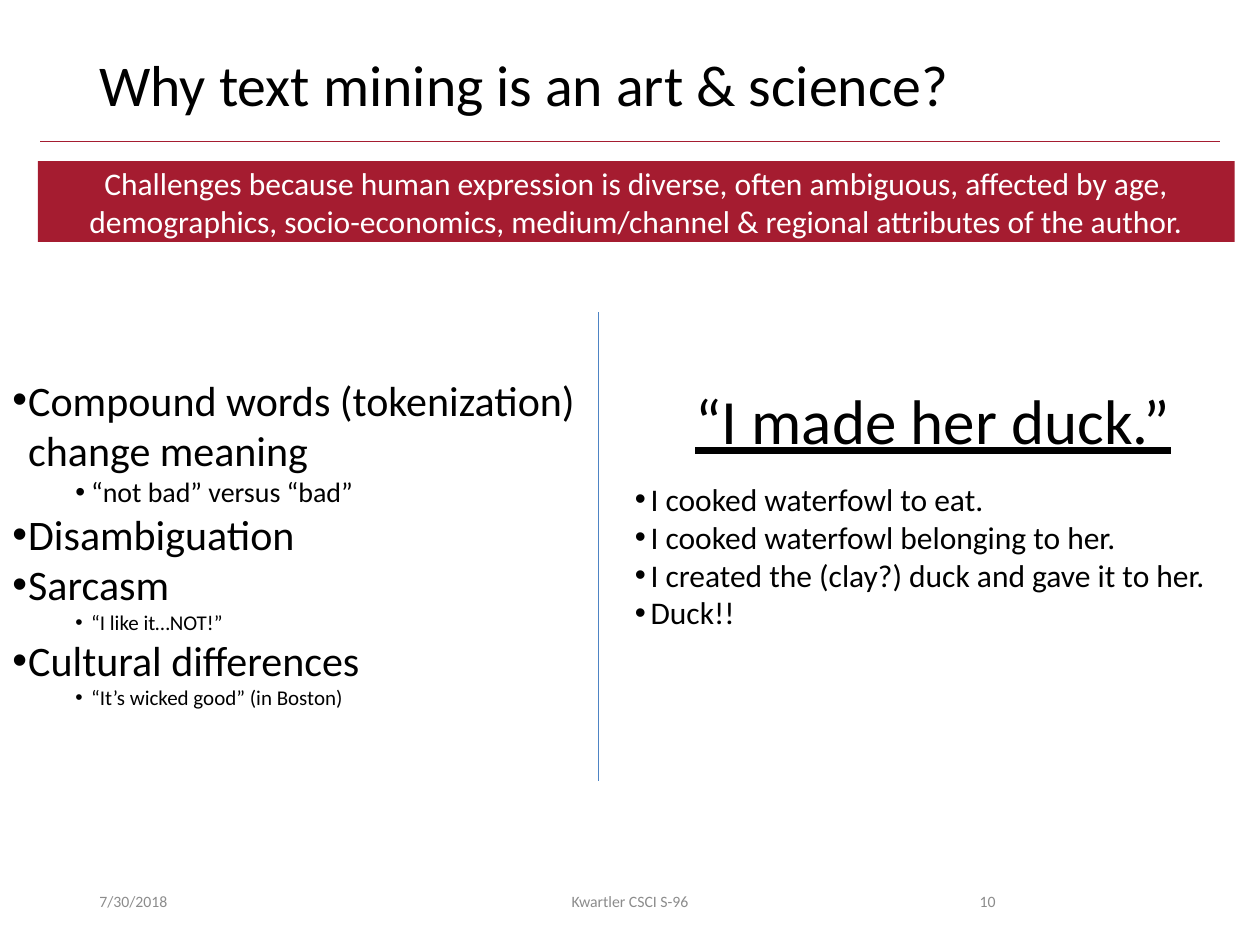
from lxml import etree
from pptx import Presentation
from pptx.dml.color import RGBColor
from pptx.enum import shapes, text
from pptx.oxml.ns import qn
from pptx.util import Inches, Pt

FONT = "Calibri"
BLACK = RGBColor(0x00, 0x00, 0x00)
WHITE = RGBColor(0xFF, 0xFF, 0xFF)
GRAY = RGBColor(0x8C, 0x8C, 0x8C)
CRIMSON = RGBColor(0xA5, 0x1C, 0x30)
BLUE = RGBColor(0x4E, 0x84, 0xC4)

LEFT, CENTER, RIGHT = text.PP_ALIGN.LEFT, text.PP_ALIGN.CENTER, text.PP_ALIGN.RIGHT
TOP, MIDDLE = text.MSO_ANCHOR.TOP, text.MSO_ANCHOR.MIDDLE

# Each item: wording, indent level, text size
CHALLENGES = [
    ("Compound words (tokenization) change meaning", 0, 24),
    ("“not bad” versus “bad”", 1, 16),
    ("Disambiguation", 0, 24),
    ("Sarcasm", 0, 24),
    ("“I like it…NOT!”", 1, 12),
    ("Cultural differences", 0, 24),
    ("“It’s wicked good” (in Boston)", 1, 12),
]
MEANINGS = [
    ("I cooked waterfowl to eat.", 0, 18),
    ("I cooked waterfowl belonging to her.", 0, 18),
    ("I created the (clay?) duck and gave it to her.", 0, 18),
    ("Duck!!", 0, 18),
]


def style_font(font, size, color):
    font.name = FONT
    font.size = Pt(size)
    font.color.rgb = color


def set_text(shape, wording, size, color, align=LEFT, anchor=MIDDLE):
    """Fill a shape with one styled paragraph and return that paragraph."""
    frame = shape.text_frame
    frame.word_wrap = True
    frame.vertical_anchor = anchor
    frame.text = wording
    paragraph = frame.paragraphs[0]
    paragraph.alignment = align
    style_font(paragraph.runs[0].font, size, color)
    return paragraph


def add_label(slide, box, wording, size, color, align=LEFT, anchor=MIDDLE):
    shape = slide.shapes.add_textbox(*map(Inches, box))
    return set_text(shape, wording, size, color, align, anchor)


def add_banner(slide, box, wording):
    shape = slide.shapes.add_shape(shapes.MSO_SHAPE.RECTANGLE, *map(Inches, box))
    shape.shadow.inherit = False
    shape.fill.solid()
    shape.fill.fore_color.rgb = CRIMSON
    shape.line.fill.background()
    set_text(shape, wording, 18, WHITE, CENTER)


def add_bullets(slide, box, items):
    frame = slide.shapes.add_textbox(*map(Inches, box)).text_frame
    frame.word_wrap = True
    for index, (wording, level, size) in enumerate(items):
        paragraph = frame.add_paragraph() if index else frame.paragraphs[0]
        paragraph.text = wording
        paragraph.level = level
        properties = paragraph._p.get_or_add_pPr()
        properties.set("marL", str(Inches(0.125 + 0.5 * level)))
        properties.set("indent", str(Inches(-0.125)))
        etree.SubElement(properties, qn("a:buFont")).set("typeface", "Arial")
        etree.SubElement(properties, qn("a:buChar")).set("char", "•")
        style_font(paragraph.runs[0].font, size, BLACK)


def add_line(slide, start, end, color):
    line = slide.shapes.add_connector(
        shapes.MSO_CONNECTOR.STRAIGHT, *map(Inches, start + end))
    line.line.color.rgb = color
    line.line.width = Pt(0.5)
    etree.SubElement(line._element.spPr, qn("a:effectLst"))


def main():
    presentation = Presentation()
    presentation.slide_width = Inches(10)
    presentation.slide_height = Inches(7.5)
    slide = presentation.slides.add_slide(presentation.slide_layouts[6])

    add_line(slide, (0.32, 1.12), (9.68, 1.12), CRIMSON)
    title = add_label(slide, (0.69, 0.4, 8.62, 0.65),
                      "Why text mining is an art & science?", 33, BLACK, anchor=TOP)
    title.line_spacing = 0.9
    add_banner(slide, (0.3, 1.28, 9.5, 0.64),
               "Challenges because human expression is diverse, often ambiguous, "
               "affected by age, demographics, socio-economics, medium/channel "
               "& regional attributes of the author.")

    add_bullets(slide, (0, 2.92, 4.72, 2.79), CHALLENGES)
    add_line(slide, (4.75, 2.48), (4.75, 6.2), BLUE)
    add_bullets(slide, (4.94, 3.76, 4.93, 1.31), MEANINGS)
    quote = add_label(slide, (5.16, 2.7, 4.49, 1.25),
                      "“I made her duck.”", 36, BLACK, CENTER)
    quote.runs[0].font.underline = True

    for left, width, wording, align in [
        (0.69, 2.25, "7/30/2018", LEFT),
        (3.31, 3.38, "Kwartler CSCI S-96", CENTER),
        (7.06, 0.94, "10", RIGHT),
    ]:
        add_label(slide, (left, 6.95, width, 0.4), wording, 9, GRAY, align)

    presentation.save("out.pptx")


if __name__ == "__main__":
    main()
